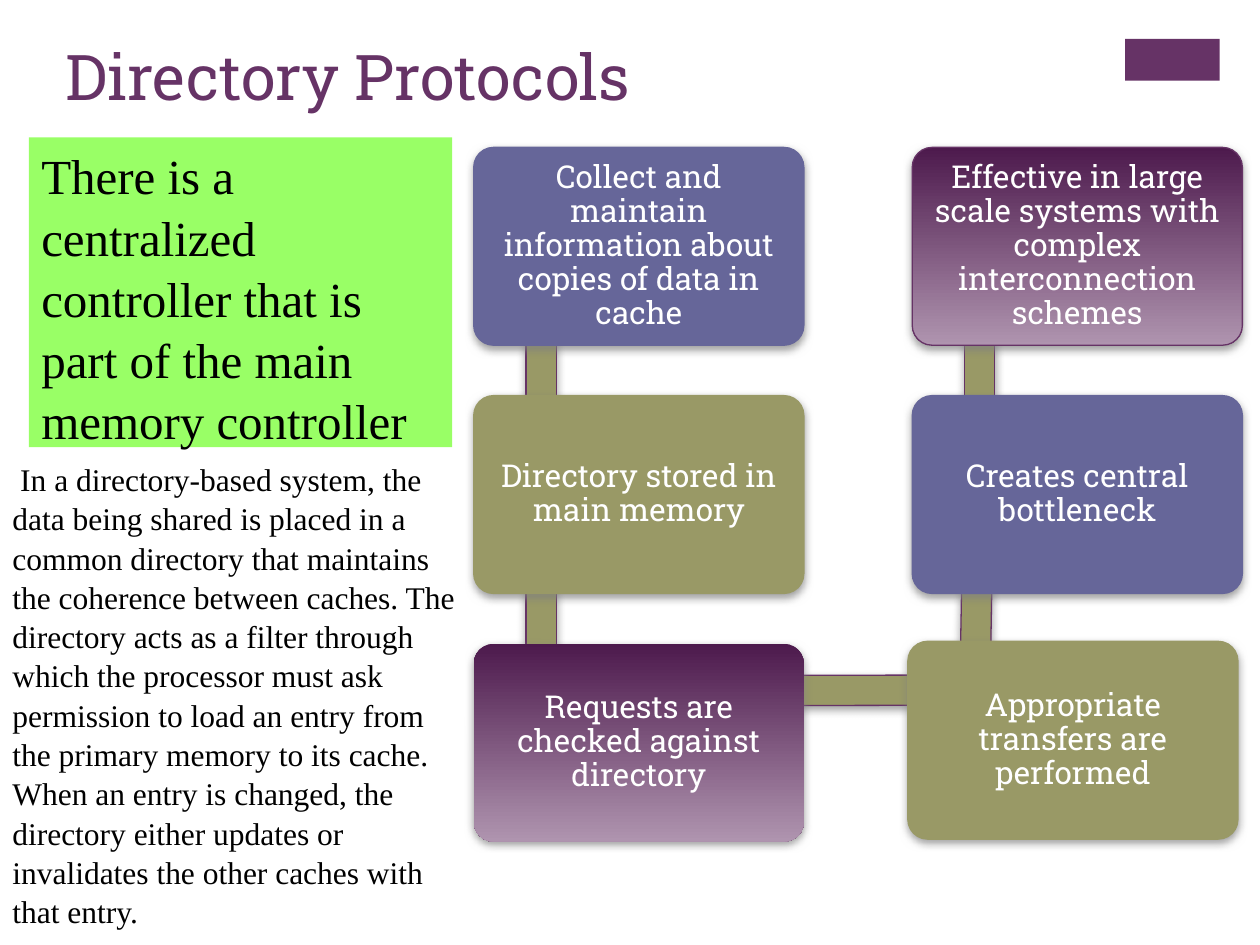
"""Build the Directory Protocols slide: a six-card bending process beside two text boxes."""
from lxml import etree
from pptx import Presentation
from pptx.dml.color import RGBColor
from pptx.enum.shapes import MSO_SHAPE
from pptx.enum.text import MSO_ANCHOR, PP_ALIGN
from pptx.oxml.ns import qn
from pptx.util import Inches, Pt

RECT, ROUND = MSO_SHAPE.RECTANGLE, MSO_SHAPE.ROUNDED_RECTANGLE
TOP, MIDDLE = MSO_ANCHOR.TOP, MSO_ANCHOR.MIDDLE
LEFT, CENTER = PP_ALIGN.LEFT, PP_ALIGN.CENTER
PURPLE, BLUE, OLIVE = "663366", "666699", "999966"
SLAB, SERIF = "Roboto Slab", "Times New Roman"
X0, Y0, COL, ROW = 3.76, 1.17, 3.48, 1.97
CARD_W, CARD_H, BAR_H = 2.62, 1.57, 0.24


def rgb(value):
    return RGBColor.from_string(value)


def write(sp, text, font, size, color, align=LEFT, anchor=TOP, spacing=None):
    tf = sp.text_frame
    tf.word_wrap = True
    tf.vertical_anchor = anchor
    tf.text = text
    p = tf.paragraphs[0]
    p.alignment = align
    p.line_spacing = spacing
    r = p.runs[0]
    r.font.name, r.font.size = font, Pt(size)
    r.font.color.rgb = rgb(color)
    return tf


prs = Presentation()
prs.slide_width, prs.slide_height = Inches(10), Inches(7.5)
s = prs.slides.add_slide(prs.slide_layouts[5])

title = s.shapes.title
title.left, title.top, title.width, title.height = map(Inches, (0.42, 0.25, 8.26, 1.22))
write(title, "Directory Protocols", SLAB, 36, PURPLE)

tab = s.shapes.add_shape(RECT, *map(Inches, (8.93, 0.31, 0.75, 0.33)))
tab.shadow.inherit = False
tab.fill.solid()
tab.fill.fore_color.rgb = rgb(PURPLE)
tab.line.fill.background()

bars = [
    (3.32, 2.42, 1.95, 90), (3.32, 4.39, 1.95, 90), (4.3, 5.36, 3.43, 359.9),
    (6.78, 4.38, 1.95, 271), (6.8, 2.42, 1.95, 270),
]
cards = [
    (0, 0, BLUE, BLUE, "Collect and maintain information about copies of data in cache"),
    (0, 1, OLIVE, OLIVE, "Directory stored in main memory"),
    (0, 2, None, None, "Requests are checked against directory"),
    (0.99, 1.99, OLIVE, OLIVE, "Appropriate transfers are performed"),
    (1, 1, BLUE, BLUE, "Creates central bottleneck"),
    (1, 0, None, PURPLE, "Effective in large scale systems with complex interconnection schemes"),
]
flow = [(RECT, x, y, w, BAR_H, turn, OLIVE, PURPLE, "") for x, y, w, turn in bars]
flow += [(ROUND, X0 + COL * col, Y0 + ROW * row, CARD_W, CARD_H, 0, fill, line, text)
         for col, row, fill, line, text in cards]

for kind, x, y, w, h, turn, fill, line, text in flow:
    sp = s.shapes.add_shape(kind, *map(Inches, (x, y, w, h)))
    sp.rotation = turn
    if fill:
        sp.fill.solid()
        sp.fill.fore_color.rgb = rgb(fill)
    else:
        sp.fill.gradient()
        sp.fill.gradient_angle = 270
        for stop, color in zip(sp.fill.gradient_stops, ("4D1A4D", "AF94AF")):
            stop.color.rgb = rgb(color)
    if line:
        sp.line.color.rgb = rgb(line)
        sp.line.width = Pt(0.75)
    else:
        sp.line.fill.background()
    sp.shadow.inherit = False
    effects = sp._element.spPr.find(qn("a:effectLst"))
    shadow = etree.SubElement(effects, qn("a:outerShdw"), blurRad=str(Pt(5)),
                              dist=str(Pt(2)), dir="5400000", rotWithShape="0")
    tint = etree.SubElement(shadow, qn("a:srgbClr"), val="808080")
    etree.SubElement(tint, qn("a:alpha"), val="75000")
    if text:
        sp.adjustments[0] = 0.1
        tf = write(sp, text, SLAB, 18, "FFFFFF", CENTER, MIDDLE, 0.9)
        tf.margin_left = tf.margin_right = tf.margin_top = tf.margin_bottom = Inches(0.12)

summary = s.shapes.add_textbox(*map(Inches, (0.23, 1.09, 3.36, 2.46)))
summary.fill.solid()
summary.fill.fore_color.rgb = rgb("99FF66")
write(summary, "There is a centralized controller that is part of the main memory controller",
      SERIF, 28, "000000", spacing=1.04)

detail = s.shapes.add_textbox(*map(Inches, (0, 3.59, 3.75, 3.74)))
write(detail, " In a directory-based system, the data being shared is placed in a common directory "
      "that maintains the coherence between caches. The directory acts as a filter through which "
      "the processor must ask permission to load an entry from the primary memory to its cache. "
      "When an entry is changed, the directory either updates or invalidates the other caches "
      "with that entry.", SERIF, 18, "000000", spacing=1.04)

prs.save("out.pptx")
